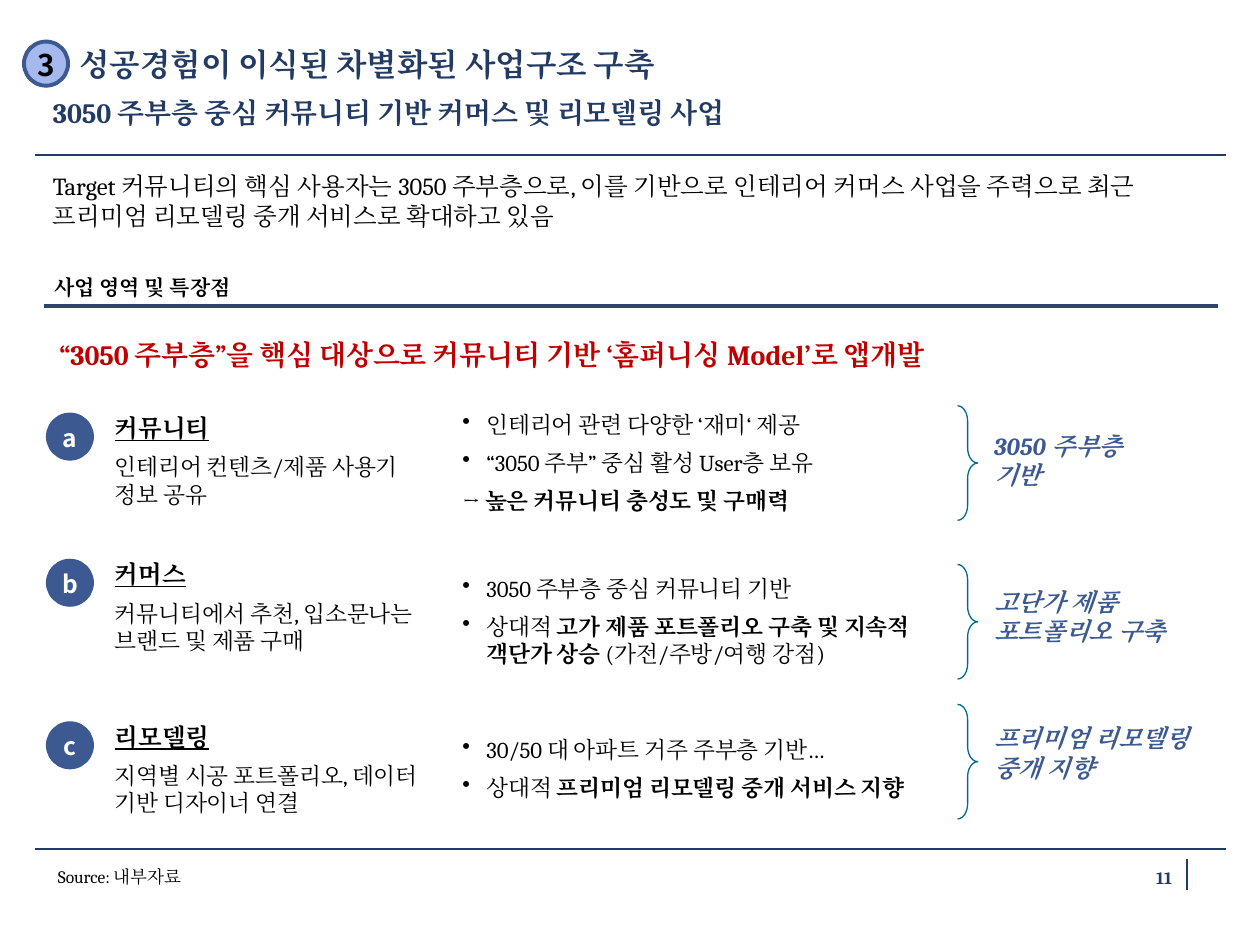
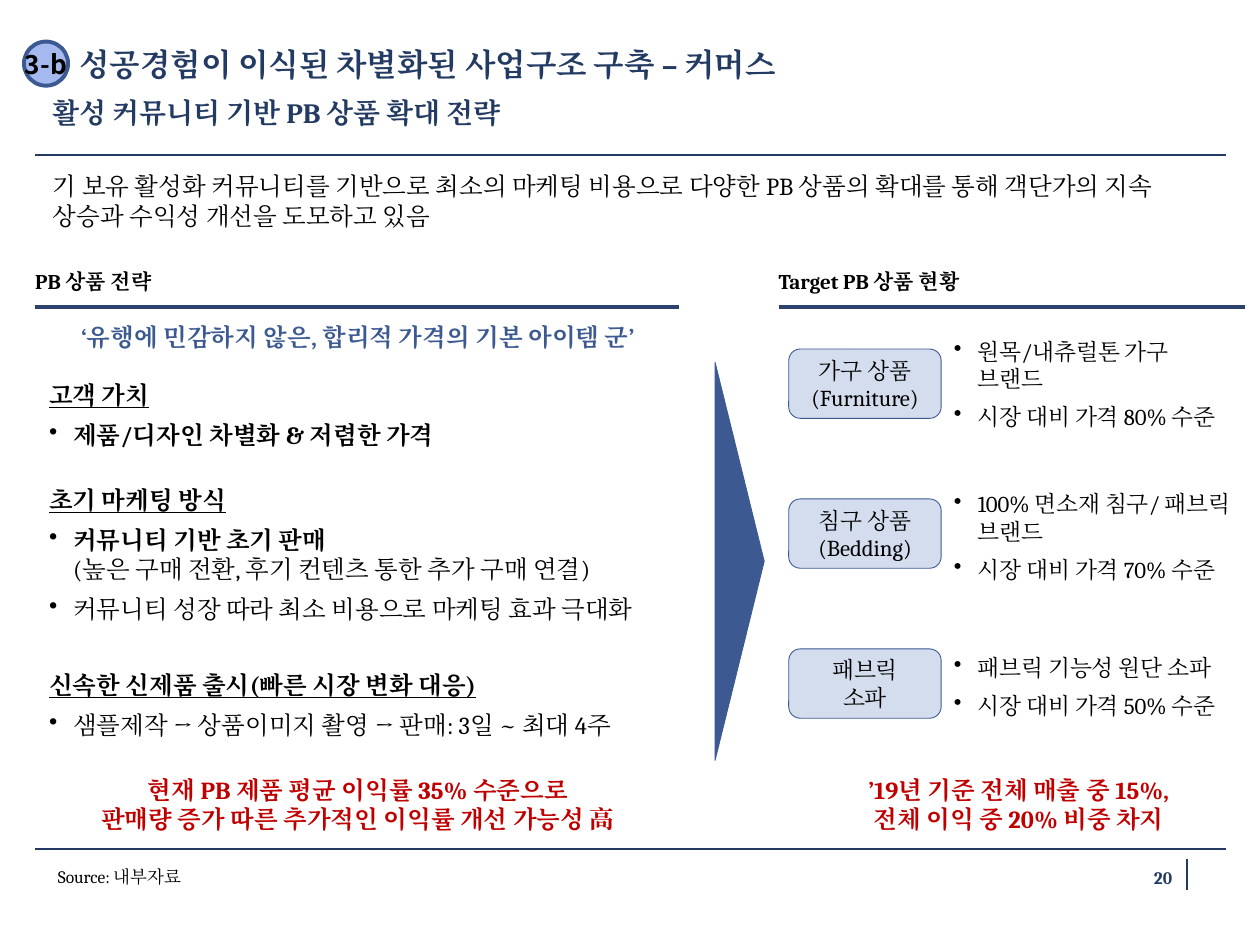
import pptx
import pptx.dml.color
import pptx.enum.shapes
import pptx.enum.text
import pptx.oxml.ns
import pptx.util
from lxml import etree

Inches, Pt = pptx.util.Inches, pptx.util.Pt
KIND = pptx.enum.shapes.MSO_SHAPE
ALIGN = pptx.enum.text.PP_ALIGN
ANCHOR = pptx.enum.text.MSO_ANCHOR
qn = pptx.oxml.ns.qn

HUES = {
    "navy": "233A63", "rule": "2D436D", "blue": "3C5A91", "pale": "D4DDED",
    "badge": "A6B9EF", "brace": "006996", "red": "C00000",
    "black": "000000", "white": "FFFFFF",
}
SERIF, SANS = "Cambria", "Noto Sans CJK KR"
FLUSH = (0, 0, 0, 0)
TIGHT = (0.08, 0.05, 0.04, 0.05)
ROOMY = (0.08, 0.04, 0.08, 0.04)
BOLD = {"bold": True}
UNDER = {"bold": True, "underline": True}


def hue(name):
    return pptx.dml.color.RGBColor.from_string(HUES[name])


def para(*runs, bullet=False, **look):
    """Describe one paragraph; a run is a string or (string, font values)."""
    return {"runs": runs, "bullet": bullet, "look": look}


def item(*runs, **look):
    return para(*runs, bullet=True, **look)


def dot(p):
    """Give a paragraph a hanging black bullet."""
    props = p._p.get_or_add_pPr()
    props.set("marL", str(Inches(0.19)))
    props.set("indent", str(-Inches(0.19)))
    tint = etree.SubElement(props, qn("a:buClr"))
    etree.SubElement(tint, qn("a:srgbClr"), val=HUES["black"])
    etree.SubElement(props, qn("a:buChar"), char="•")


def style(font, face, color, values):
    for name, value in values.items():
        setattr(font, name, value)
    font.color.rgb = hue(color)
    font.name = face
    etree.SubElement(font._element, qn("a:ea"), typeface=face)


def write(shape, paras, size, color="black", face=SERIF, pad=FLUSH, mid=False,
          align=ALIGN.LEFT, before=0, after=0, line=None, wrap=True, **look):
    frame = shape.text_frame
    sides = ("left", "top", "right", "bottom")
    values = {f"margin_{side}": Inches(gap) for side, gap in zip(sides, pad)}
    values["word_wrap"] = wrap
    values["vertical_anchor"] = ANCHOR.MIDDLE if mid else ANCHOR.TOP
    for name, value in values.items():
        setattr(frame, name, value)
    for i, spec in enumerate(paras):
        spec = para(spec) if isinstance(spec, str) else spec
        p = frame.add_paragraph() if i else frame.paragraphs[0]
        layout = {"alignment": align, "space_before": Pt(before if i else 0),
                  "space_after": Pt(after), "line_spacing": line}
        for name, value in layout.items():
            setattr(p, name, value)
        if spec["bullet"]:
            dot(p)
        for run in spec["runs"]:
            text, extra = (run, {}) if isinstance(run, str) else run
            font = {"size": Pt(size), **look, **spec["look"], **extra}
            for j, part in enumerate(text.split("\n")):
                if j:
                    p.add_line_break()
                if part:
                    r = p.add_run()
                    r.text = part
                    style(r.font, face, color, font)


def text(slide, box, paras, size, **look):
    shape = slide.shapes.add_textbox(*map(Inches, box))
    write(shape, paras, size, **look)


def rule(slide, start, end, color="navy", width=1):
    line = slide.shapes.add_connector(
        pptx.enum.shapes.MSO_CONNECTOR.STRAIGHT, *map(Inches, start + end))
    line.line.color.rgb = hue(color)
    line.line.width = Pt(width)
    etree.SubElement(line._element.spPr, qn("a:effectLst"))


def draw(slide, kind, box, fill, line, width):
    shape = slide.shapes.add_shape(kind, *map(Inches, box))
    shape.shadow.inherit = False
    if fill:
        shape.fill.solid()
        shape.fill.fore_color.rgb = hue(fill)
    else:
        shape.fill.background()
    shape.line.color.rgb = hue(line)
    shape.line.width = Pt(width)
    return shape


def badge(slide, left, top, label, size, fill, color):
    disc = draw(slide, KIND.OVAL, (left, top, 0.35, 0.35), fill, "blue", 2.25)
    write(disc, [label], size, color=color, face=SANS, bold=True, mid=True,
          pad=(0.05, 0.1, 0.05, 0.1), align=ALIGN.CENTER, line=1.05, wrap=False)


def header(slide, mark, size, title, sub, lead):
    rule(slide, (0.28, 1.23), (9.73, 1.23))
    text(slide, (0.63, 0.36, 6.91, 0.36), [title], 18, color="navy", bold=True)
    text(slide, (0.42, 0.76, 7.12, 0.43), [sub], 16, color="navy", bold=True)
    text(slide, (0.42, 1.36, 9.15, 0.68), [lead], 14)
    badge(slide, 0.19, 0.33, mark, size, "badge", "black")


def footer(slide, page):
    rule(slide, (0.28, 6.74), (9.73, 6.74))
    rule(slide, (9.42, 7.06), (9.42, 6.82))
    text(slide, (0.46, 6.87, 6.65, 0.29), ["Source: 내부자료"], 10)
    text(slide, (8.62, 6.82, 0.78, 0.29), [page], 10, color="navy", bold=True,
         mid=True, pad=(0.1, 0.05, 0.1, 0.05), align=ALIGN.RIGHT)


def section(slide, box, label, start, end):
    """Place a heading in box with a thick rule under it."""
    text(slide, box, [label], 12, bold=True, mid=True)
    base = box[1] + box[3]
    rule(slide, (start, base), (end, base), "rule", 2.25)


def area(slide, tops, mark, name, about, points, result):
    """Place one business area: badge, summary, points, brace and result."""
    top, list_top, brace_top, end_top = tops
    badge(slide, 0.38, top, mark, 14, "blue", "white")
    text(slide, (0.83, top - 0.06, 2.68, 0.6), [para((name, {**UNDER, "size": Pt(14)})), about],
         13, pad=TIGHT, before=3, after=3)
    text(slide, (3.59, list_top, 3.91, 1.02), points, 13, pad=ROOMY, after=6)
    brace = draw(slide, KIND.RIGHT_BRACE, (7.6, brace_top, 0.16, 0.91),
                 None, "brace", 0.75)
    brace.adjustments[0] = 0.754
    text(slide, (7.81, end_top, 1.76, 0.58), [result], 14, color="blue",
         pad=TIGHT, bold=True, italic=True)


def topic(slide, top, height, name, points):
    text(slide, (0.31, top, 5.08, height), [para(name, **UNDER), *points], 14,
         pad=ROOMY, after=6)


def brand(slide, top, name, list_top, points):
    card = draw(slide, KIND.ROUNDED_RECTANGLE, (6.26, top, 1.21, 0.55),
                "pale", "blue", 0.5)
    write(card, [name], 13, pad=(0.08,) * 4, mid=True, align=ALIGN.CENTER)
    text(slide, (7.49, list_top, 2.39, 0.57), map(item, points), 13,
         pad=ROOMY, after=6)


def claim(slide, box, words, color="red"):
    text(slide, box, [words], 14, color=color, bold=True, align=ALIGN.CENTER)


def areas(slide):
    header(slide, "3", 17, "성공경험이 이식된 차별화된 사업구조 구축",
           "3050 주부층 중심 커뮤니티 기반 커머스 및 리모델링 사업",
           "Target 커뮤니티의 핵심 사용자는 3050 주부층으로, 이를 기반으로 인테리어 "
           "커머스 사업을 주력으로 최근 프리미엄 리모델링 중개 서비스로 확대하고 있음")
    section(slide, (0.43, 2.12, 9.61, 0.31), "사업 영역 및 특장점", 0.35, 9.67)
    text(slide, (0.39, 2.63, 9.18, 0.46),
         ["“3050 주부층”을 핵심 대상으로 커뮤니티 기반 ‘홈퍼니싱 Model’로 앱개발"],
         16, color="red", pad=TIGHT, bold=True)
    rows = [
        ((3.29, 3.22, 3.22, 3.37), "a", "커뮤니티",
         "인테리어 컨텐츠/제품 사용기 정보 공유",
         [item("인테리어 관련 다양한 ‘재미‘ 제공"),
          item("“3050 주부” 중심 활성 User층 보유"),
          para("→ 높은 커뮤니티 충성도 및 구매력", **BOLD)],
         "3050 주부층\n기반"),
        ((4.45, 4.52, 4.48, 4.61), "b", "커머스",
         "커뮤니티에서 추천, 입소문나는 브랜드 및 제품 구매",
         [item("3050 주부층 중심 커뮤니티 기반"),
          item("상대적 ", ("고가 제품 포트폴리오 구축 및 지속적 객단가 상승 ", BOLD),
               "(가전/주방/여행 강점)")],
         "고단가 제품 포트폴리오 구축"),
        ((5.74, 5.8, 5.59, 5.69), "c", "리모델링",
         "지역별 시공 포트폴리오, 데이터 기반 디자이너 연결",
         [item("30/50 대 아파트 거주 주부층 기반…"),
          item("상대적 ", ("프리미엄 리모델링 중개 서비스 지향", BOLD))],
         "프리미엄 리모델링 중개 지향"),
    ]
    for row in rows:
        area(slide, *row)
    footer(slide, "11")


def plan(slide):
    """Place the left column: the product strategy."""
    section(slide, (0.28, 2.02, 4.76, 0.42), "PB 상품 전략", 0.28, 5.39)
    claim(slide, (0.28, 2.56, 5.12, 0.37),
          "‘유행에 민감하지 않은, 합리적 가격의 기본 아이템 군’", "blue")
    topic(slide, 2.98, 0.73, "고객 가치",
          [item("제품/디자인 차별화 & 저렴한 가격", **BOLD)])
    topic(slide, 3.81, 1.21, "초기 마케팅 방식",
          [item(("커뮤니티 기반 초기 판매\n", BOLD),
                "(높은 구매 전환, 후기 컨텐츠 통한 추가 구매 연결)"),
           item("커뮤니티 성장 따라 최소 비용으로 마케팅 효과 극대화")])
    topic(slide, 5.28, 0.73, "신속한 신제품 출시(빠른 시장 변화 대응)",
          [item("샘플제작 → 상품이미지 촬영 → 판매: 3일 ~ 최대 4주")])
    claim(slide, (0.28, 6.15, 5.12, 0.37),
          "현재 PB 제품 평균 이익률 35% 수준으로\n"
          "판매량 증가 따른 추가적인 이익률 개선 가능성 高")


def range_(slide):
    """Place the right column: the product brands."""
    section(slide, (6.18, 2.02, 3.44, 0.42), "Target PB 상품 현황", 6.18, 9.88)
    brands = [
        ("가구 상품\n(Furniture)", 2.64, "원목/내츄럴톤 가구 브랜드", 80),
        ("침구 상품\n(Bedding)", 3.85, "100% 면소재 침구/ 패브릭 브랜드", 70),
        ("패브릭\n소파", 5.15, "패브릭 기능성 원단 소파", 50),
    ]
    for i, (name, top, about, price) in enumerate(brands):
        brand(slide, 2.77 + i * 1.19, name, top,
              [about, f"시장 대비 가격 {price}% 수준"])
    claim(slide, (6.4, 6.15, 3.37, 0.6),
          "’19년 기준 전체 매출 중 15%,\n전체 이익 중 20% 비중 차지")


def commerce(slide):
    header(slide, "3-b", 15, "성공경험이 이식된 차별화된 사업구조 구축 – 커머스",
           "활성 커뮤니티 기반 PB 상품 확대 전략",
           "기 보유 활성화 커뮤니티를 기반으로 최소의 마케팅 비용으로 다양한 PB 상품의 "
           "확대를 통해 객단가의 지속 상승과 수익성 개선을 도모하고 있음")
    plan(slide)
    arrow = draw(slide, KIND.ISOSCELES_TRIANGLE, (4.29, 4.26, 3.16, 0.39),
                 "blue", "blue", 0.5)
    arrow.rotation = 90
    range_(slide)
    footer(slide, "20")


def main():
    deck = pptx.Presentation()
    deck.slide_width, deck.slide_height = Inches(10), Inches(7.5)
    for build in (areas, commerce):
        build(deck.slides.add_slide(deck.slide_layouts[6]))
    deck.save("out.pptx")


if __name__ == "__main__":
    main()
